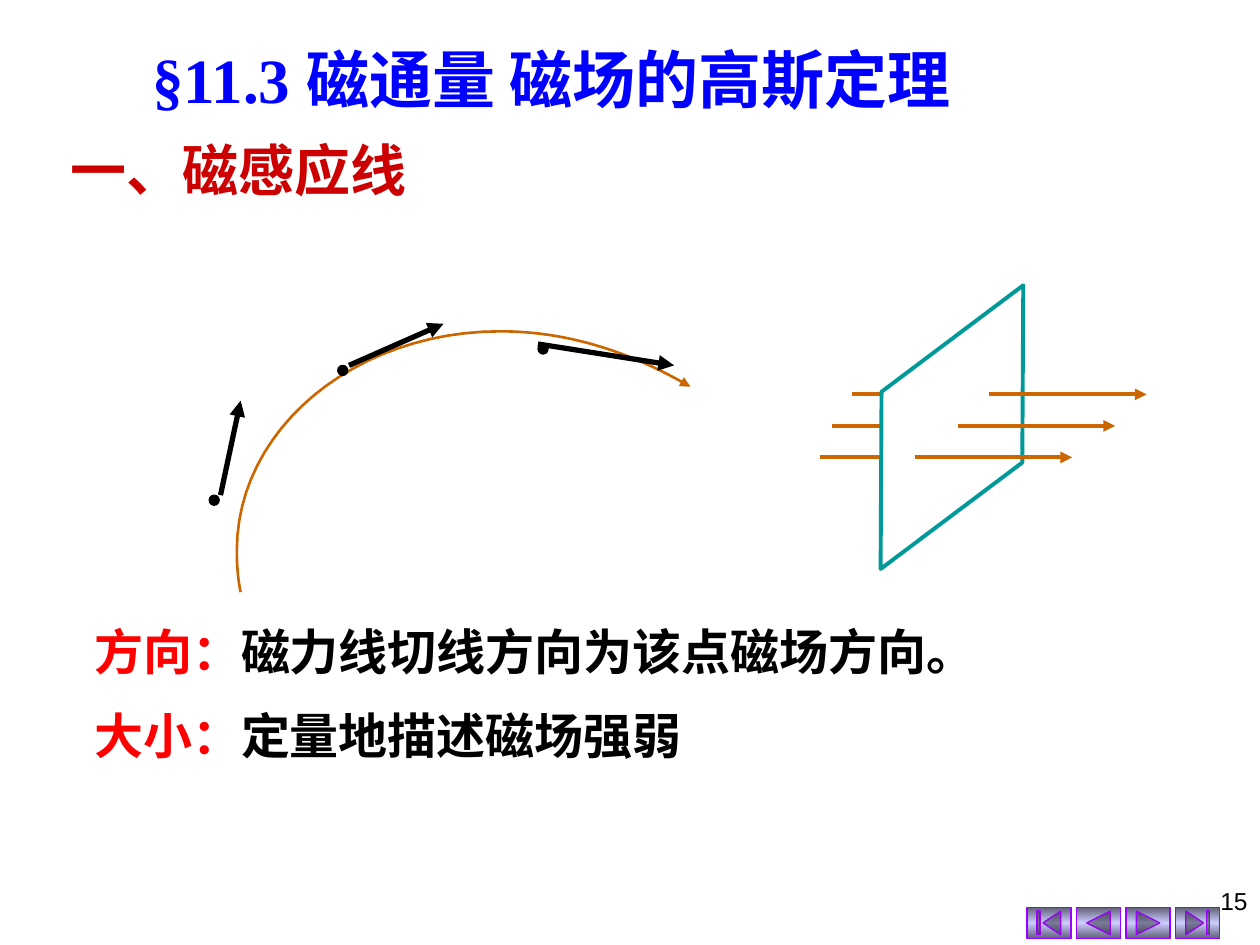
import pptx
import pptx.util
import pptx.dml.color
import pptx.enum.shapes
import pptx.enum.text
import pptx.oxml.ns
from copy import deepcopy
from lxml import etree

Inches = pptx.util.Inches
Pt = pptx.util.Pt
SHAPE = pptx.enum.shapes.MSO_SHAPE
qn = pptx.oxml.ns.qn

COLORS = {
    "title": "0000FF",
    "heading": "CC0000",
    "label": "FF0000",
    "text": "000000",
    "field": "CC6600",
    "plane": "009999",
    "plane_fill": "FFFFFF",
    "button_edge": "5E5E76",
    "button_center": "CCCCFF",
    "button_line": "9900FF",
}


def rgb(name):
    return pptx.dml.color.RGBColor.from_string(COLORS[name])


def add_arrowhead(shape):
    line = shape.line._get_or_add_ln()
    etree.SubElement(line, qn("a:tailEnd"), type="triangle")


def add_line(slide, start, end, color, width, arrow=False):
    connector = slide.shapes.add_connector(
        pptx.enum.shapes.MSO_CONNECTOR.STRAIGHT,
        *(Inches(value) for value in (*start, *end)))
    connector.line.color.rgb = rgb(color)
    connector.line.width = Pt(width)
    if arrow:
        add_arrowhead(connector)
    etree.SubElement(connector._element.spPr, qn("a:effectLst"))


def add_text(slide, box, runs, size, font, bold=True, align=None, wrap=True):
    shape = slide.shapes.add_textbox(*(Inches(value) for value in box))
    shape.text_frame.word_wrap = wrap
    paragraph = shape.text_frame.paragraphs[0]
    paragraph.alignment = align
    paragraph.font.size = Pt(size)
    paragraph.font.name = font
    paragraph.font.bold = bold
    for text, color in runs:
        run = paragraph.add_run()
        run.text = text
        run.font.color.rgb = rgb(color)


def add_navigation(slide, box):
    left, top, width, height = box
    kinds = (SHAPE.ACTION_BUTTON_BEGINNING, SHAPE.ACTION_BUTTON_BACK_OR_PREVIOUS,
             SHAPE.ACTION_BUTTON_FORWARD_OR_NEXT, SHAPE.ACTION_BUTTON_END)
    button_width = 0.35
    step = (width - button_width) / (len(kinds) - 1)
    for index, kind in enumerate(kinds):
        button = slide.shapes.add_shape(
            kind, Inches(left + index * step), Inches(top),
            Inches(button_width), Inches(height))
        button.shadow.inherit = False
        button.fill.gradient()
        button.fill.gradient_angle = 90
        edge, center = button.fill.gradient_stops
        edge.color.rgb = rgb("button_edge")
        center.color.rgb = rgb("button_center")
        center.position = 0.5
        stops = button._element.spPr.find(qn("a:gradFill")).find(qn("a:gsLst"))
        last_stop = deepcopy(stops[0])
        last_stop.set("pos", "100000")
        stops.append(last_stop)
        button.line.color.rgb = rgb("button_line")
        button.line.width = Pt(0.75)


def bezier_points(start, first, second, end, steps=24):
    for index in range(1, steps + 1):
        t = index / steps
        weights = ((1 - t) ** 3, 3 * t * (1 - t) ** 2, 3 * t ** 2 * (1 - t), t ** 3)
        yield tuple(sum(weight * value for weight, value in zip(weights, axis))
                    for axis in zip(start, first, second, end))


def add_field_curve(slide, box):
    left, top, width, height = box
    start, end = (0.25, height), (width, 0.5)
    side, crest = (0.22, 1.8), (2.31, 0.06)
    segments = (
        (start, (0.23, 2.03), (0.22, 1.92), side),
        (side, (0.22, 0.84), (1.15, 0.06), crest),
        (crest, (2.84, 0.06), (3.34, 0.22), end),
    )
    points = [start] + [point for segment in segments for point in bezier_points(*segment)]
    placed = [(Inches(left + x), Inches(top + y)) for x, y in points]
    builder = slide.shapes.build_freeform(*placed[0])
    builder.add_line_segments(placed[1:], close=False)
    curve = builder.convert_to_shape()
    curve.shadow.inherit = False
    curve.fill.background()
    curve.line.color.rgb = rgb("field")
    curve.line.width = Pt(1.5)
    add_arrowhead(curve)

    diameter = 0.08
    tangents = (
        ((0, 1.36), (0.09, 1.36), (0.25, 0.61)),
        ((1.02, 0.33), (1.11, 0.33), (1.86, 0)),
        ((2.61, 0.16), (2.61, 0.16), (3.69, 0.33)),
    )
    for dot_corner, tail, tip in tangents:
        dot = slide.shapes.add_shape(
            SHAPE.OVAL, Inches(left + dot_corner[0]), Inches(top + dot_corner[1]),
            Inches(diameter), Inches(diameter))
        dot.shadow.inherit = False
        dot.fill.solid()
        dot.fill.fore_color.rgb = rgb("text")
        dot.line.color.rgb = rgb("text")
        add_line(slide, (left + tail[0], top + tail[1]),
                 (left + tip[0], top + tip[1]), "text", 3, arrow=True)


def add_flux_plane(slide, box):
    left, top, width, height = box
    rows = ((1.0, 0.25, 1.34), (1.25, 0.09, 1.09), (1.5, 0, 0.75))
    for y, back, _ in rows:
        add_line(slide, (left + back, top + y), (left + back + 0.59, top + y), "field", 2.25)
    plane_width = 1.25
    plane = slide.shapes.add_shape(
        SHAPE.DIAMOND, Inches(left + 0.42), Inches(top),
        Inches(plane_width), Inches(height))
    plane.rotation = 206.7
    plane.shadow.inherit = False
    plane.fill.solid()
    plane.fill.fore_color.rgb = rgb("plane_fill")
    plane.line.color.rgb = rgb("plane")
    plane.line.width = Pt(2.25)
    for y, _, front in rows:
        add_line(slide, (left + front, top + y),
                 (left + front + plane_width, top + y), "field", 2.25, arrow=True)


def add_statements(slide, box):
    left, top, width, height = box
    statements = (
        ("方向：", "磁力线切线方向为该点磁场方向。", "Arial"),
        ("大小：", "定量地描述磁场强弱", "Times New Roman"),
    )
    for index, (label, text, font) in enumerate(statements):
        add_text(slide, (left, top + index * 0.67, width, height / 2),
                 ((label, "label"), (text, "text")), 28, font, wrap=False)


def main():
    presentation = pptx.Presentation()
    presentation.slide_width = Inches(10)
    presentation.slide_height = Inches(7.5)
    slide = presentation.slides.add_slide(presentation.slide_layouts[6])
    add_navigation(slide, (8.15, 7.2, 1.53, 0.25))
    add_text(slide, (0.46, 1.03, 4.92, 1.1), (("一、磁感应线", "heading"),),
             32, "Noto Sans CJK SC")
    add_field_curve(slide, (1.66, 2.57, 3.82, 2.13))
    add_flux_plane(slide, (6.51, 2.13, 2.59, 2.52))
    add_text(slide, (1.11, 0.27, 7.59, 0.7),
             (("§11.3 磁通量 磁场的高斯定理", "title"),), 36, "Times New Roman")
    add_statements(slide, (0.65, 4.88, 7.23, 1.14))
    add_text(slide, (7.67, 6.98, 2.33, 0.52), (("15", "text"),), 14, "Arial",
             bold=False, align=pptx.enum.text.PP_ALIGN.RIGHT)
    presentation.save("out.pptx")


if __name__ == "__main__":
    main()
